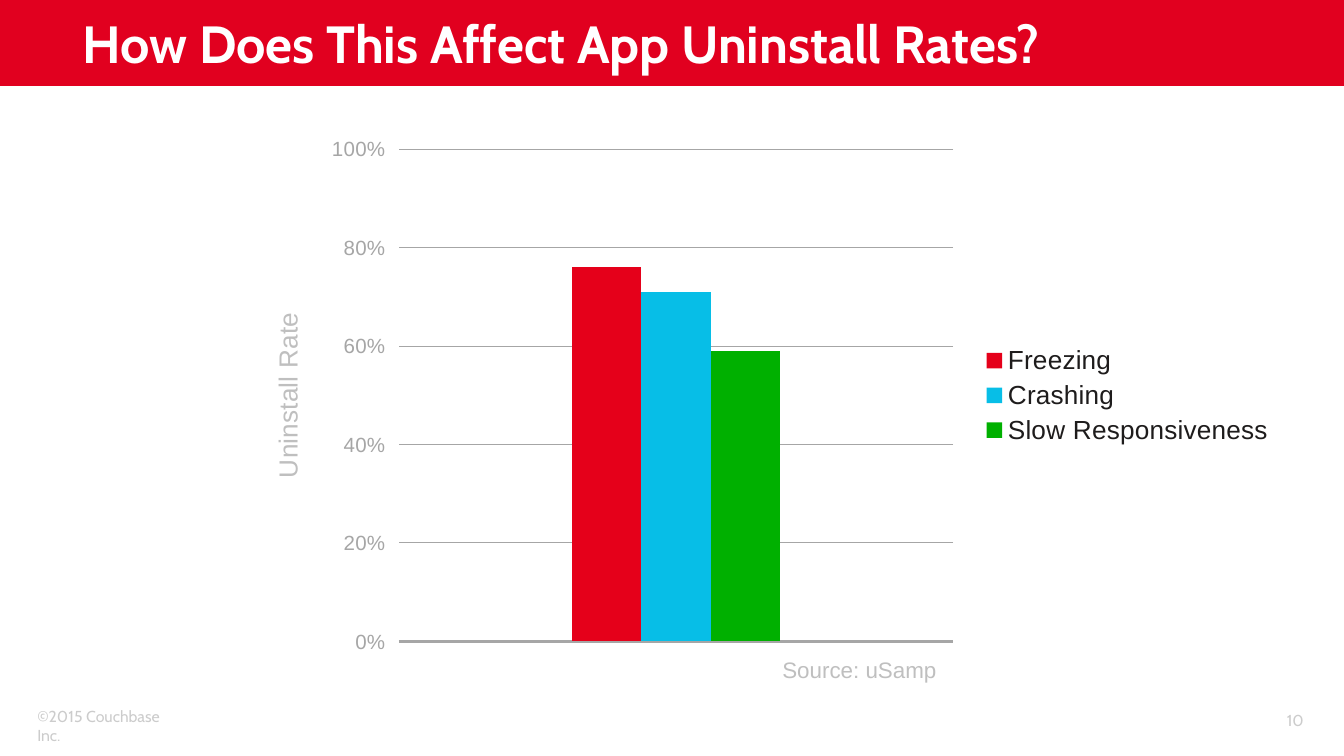
from dataclasses import dataclass

from lxml import etree
from pptx import Presentation
from pptx import util as u
from pptx.chart.data import CategoryChartData
from pptx.dml.color import RGBColor
from pptx.enum import chart as charts, shapes, text
from pptx.oxml import ns

PX = 914400 * 10 / 1344
ALIGN = text.PP_ALIGN
ANCHOR = text.MSO_ANCHOR


@dataclass(frozen=True)
class Theme:
    banner: str = "E1001F"
    white: str = "FFFFFF"
    ink: str = "1E1C1C"
    muted: str = "BFBFBF"
    footer: str = "CCCCCC"
    axis: str = "A6A6A6"
    heading_font: str = "Cabin"
    body_font: str = "Arial"
    title_size: float = 28
    label_size: float = 14
    source_size: float = 12
    tick_size: float = 11
    footer_size: float = 8.5


def px(*lengths):
    return [u.Emu(round(length * PX)) for length in lengths]


def set_font(font, name, size, color, bold=False):
    font.name, font.size, font.bold = name, u.Pt(size), bold
    font.color.rgb = RGBColor.from_string(color)


def set_line(line, color, width):
    line.color.rgb = RGBColor.from_string(color)
    line.width = u.Pt(width)


def place_plot(chart, **fractions):
    """Fix the inner plot area as fractions of the chart frame."""
    plot_area = chart.element.find(".//" + ns.qn("c:plotArea"))
    for old in plot_area.findall(ns.qn("c:layout")):
        plot_area.remove(old)
    layout = etree.Element(ns.qn("c:layout"))
    manual = etree.SubElement(layout, ns.qn("c:manualLayout"))
    settings = dict(layoutTarget="inner", xMode="edge", yMode="edge", **fractions)
    for tag, value in settings.items():
        etree.SubElement(manual, ns.qn("c:" + tag)).set("val", str(value))
    plot_area.insert(0, layout)


class SlideBuilder:
    def __init__(self, deck, theme):
        self.theme = theme
        self.slide = deck.slides.add_slide(deck.slide_layouts[5])

    def banner(self, *box):
        bar = self.slide.shapes.add_shape(shapes.MSO_SHAPE.RECTANGLE, *px(*box))
        bar.shadow.inherit = False
        bar.fill.solid()
        bar.fill.fore_color.rgb = RGBColor.from_string(self.theme.banner)
        bar.line.fill.background()
        # The banner lies behind the title placeholder.
        self.slide.shapes.title.element.addprevious(bar.element)

    def title(self, words, *box):
        title = self.slide.shapes.title
        title.left, title.top, title.width, title.height = px(*box)
        frame = title.text_frame
        frame.auto_size = text.MSO_AUTO_SIZE.NONE
        frame.vertical_anchor = ANCHOR.BOTTOM
        line = frame.paragraphs[0]
        line.alignment, line.line_spacing = ALIGN.LEFT, 0.8
        run = line.add_run()
        run.text = words
        set_font(run.font, self.theme.heading_font, self.theme.title_size,
                 self.theme.white, bold=True)

    def label(self, words, box, font, size, color, align=ALIGN.LEFT, anchor=ANCHOR.TOP):
        frame = self.slide.shapes.add_textbox(*px(*box)).text_frame
        frame.word_wrap = True
        frame.vertical_anchor = anchor
        line = frame.paragraphs[0]
        line.alignment = align
        run = line.add_run()
        run.text = words
        set_font(run.font, font, size, color)

    def column_chart(self, box, value_title, columns):
        theme = self.theme
        data = CategoryChartData(number_format="0%")
        data.categories = ["1"]
        for name, rate, _ in columns:
            data.add_series(name, [rate])
        chart = self.slide.shapes.add_chart(
            charts.XL_CHART_TYPE.COLUMN_CLUSTERED, *px(*box), data).chart
        chart.has_title = False
        set_font(chart.font, theme.body_font, theme.label_size, theme.ink)

        plot = chart.plots[0]
        plot.gap_width, plot.overlap, plot.vary_by_categories = 500, 0, False
        for series, (_, _, color) in zip(plot.series, columns):
            series.format.fill.solid()
            series.format.fill.fore_color.rgb = RGBColor.from_string(color)

        category = chart.category_axis
        category.tick_label_position = charts.XL_TICK_LABEL_POSITION.NONE
        category.major_tick_mark = charts.XL_TICK_MARK.NONE
        set_line(category.format.line, theme.axis, 1.25)

        self.value_axis(chart.value_axis, value_title)
        chart.has_legend = True
        chart.legend.position = charts.XL_LEGEND_POSITION.RIGHT
        chart.legend.include_in_layout = False
        set_font(chart.legend.font, theme.body_font, theme.label_size, theme.ink)
        place_plot(chart, x=0.15, y=0.04, w=0.53, h=0.92)

    def value_axis(self, axis, title):
        theme = self.theme
        axis.minimum_scale, axis.maximum_scale, axis.major_unit = 0, 1, 0.2
        axis.tick_labels.number_format = "0%"
        axis.tick_labels.number_format_is_linked = False
        set_font(axis.tick_labels.font, theme.body_font, theme.tick_size, theme.axis)
        axis.format.line.fill.background()
        set_line(axis.major_gridlines.format.line, theme.axis, 0.5)
        run = axis.axis_title.text_frame.paragraphs[0].add_run()
        run.text = title
        set_font(run.font, theme.body_font, theme.label_size, theme.muted)
        body = axis.axis_title.element.find(".//" + ns.qn("a:bodyPr"))
        body.set("rot", "-5400000")
        body.set("vert", "horz")


def main():
    deck = Presentation()
    deck.slide_width, deck.slide_height = px(1344, 756)
    theme = Theme()
    page = SlideBuilder(deck, theme)
    footer = theme.heading_font, theme.footer_size, theme.footer

    page.banner(0, 0, 1344, 86)
    page.title("How Does This Affect App Uninstall Rates?", 69, 1, 1176, 79)
    page.label("©2015 Couchbase Inc.", (24, 700, 173, 32), *footer)
    page.label("10", (1208, 700, 109, 40), *footer, ALIGN.RIGHT, ANCHOR.MIDDLE)
    page.column_chart((242, 128, 1046, 535), "Uninstall Rate", [
        ("Freezing", 0.76, "E5001A"),
        ("Crashing", 0.71, "07BEE7"),
        ("Slow Responsiveness", 0.59, "00B000"),
    ])
    page.label("Source: uSamp", (767, 650, 183, 40), theme.body_font,
               theme.source_size, theme.muted, ALIGN.RIGHT)
    deck.save("out.pptx")


if __name__ == "__main__":
    main()
